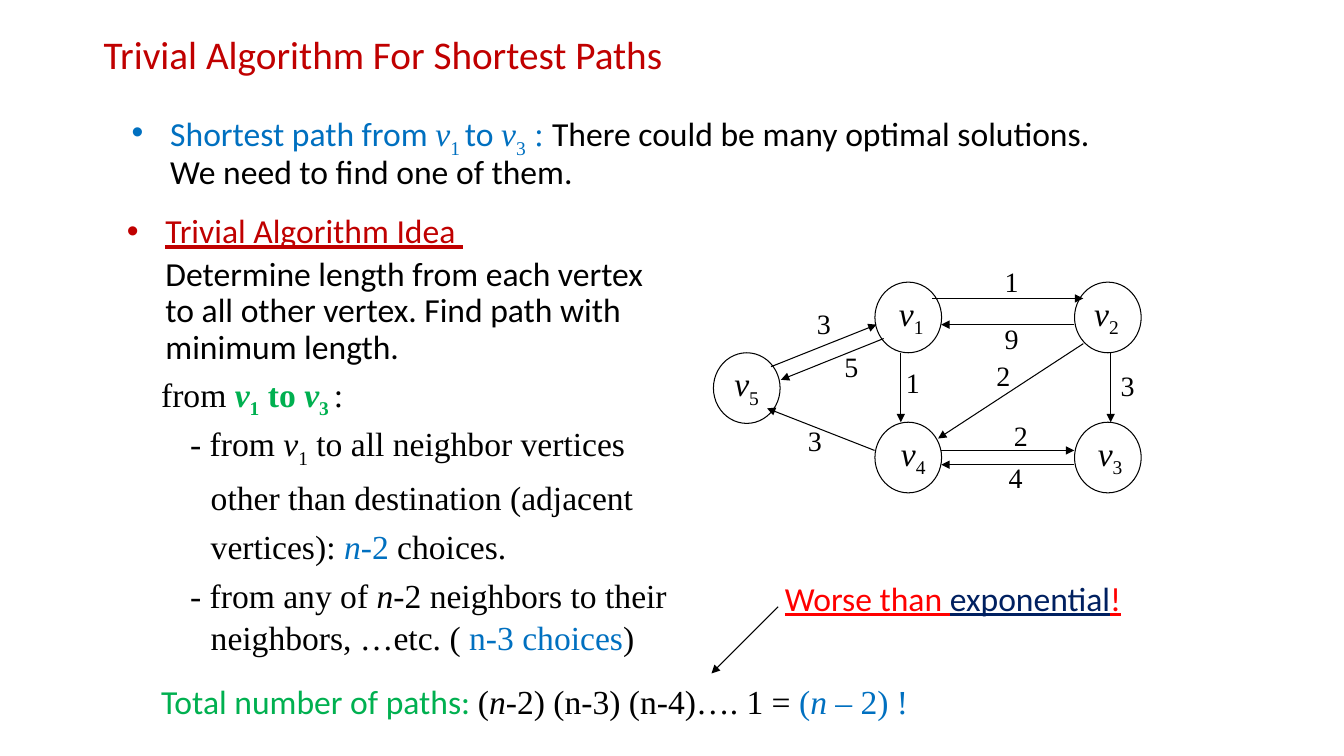
from lxml import etree
from pptx import Presentation
from pptx import util as u
from pptx.dml import color
from pptx.enum import shapes, text
from pptx.oxml import ns

SANS, SERIF = "Calibri", "Times New Roman"
BLACK, RED, BLUE, GREEN = "000000", "C00000", "0070C0", "00B050"


def rgb(value):
    """Turn a hex string into a colour."""
    return color.RGBColor.from_string(value)


def write(paragraph, runs, size=24):
    """Fill a paragraph with (text, font, colour, flags) runs; flags are b, i, u and s for subscript."""
    for words, family, ink, flags in runs:
        run = paragraph.add_run()
        run.text = words
        font = run.font
        font.name, font.size = family, u.Pt(size)
        font.bold, font.italic, font.underline = (flag in flags for flag in "biu")
        font.color.rgb = rgb(ink)
        if "s" in flags:
            run._r.get_or_add_rPr().set("baseline", "-25000")


def layout(paragraph, margin, hang=0, bullet=False, spacing=1.0, before=0):
    """Set the indents, bullet and spacing of a list paragraph."""
    properties = paragraph._p.get_or_add_pPr()
    properties.set("marL", str(u.Cm(margin)))
    properties.set("indent", str(u.Cm(-hang)))
    if bullet:
        etree.SubElement(properties, ns.qn("a:buFont")).set("typeface", "Arial")
        etree.SubElement(properties, ns.qn("a:buChar")).set("char", "•")
    else:
        etree.SubElement(properties, ns.qn("a:buNone"))
    paragraph.alignment = text.PP_ALIGN.LEFT
    paragraph.line_spacing = spacing
    paragraph.space_before = u.Pt(before)


def place(holder, box, anchor=text.MSO_ANCHOR.TOP, side=0.25):
    """Move a placeholder to a box and return its text frame."""
    holder.left, holder.top, holder.width, holder.height = map(u.Cm, box)
    frame = holder.text_frame
    frame.auto_size = text.MSO_AUTO_SIZE.NONE
    frame.word_wrap = True
    frame.vertical_anchor = anchor
    frame.margin_left = frame.margin_right = u.Cm(side)
    return frame


def caption(slide, box, runs, size=24):
    """Add a text box holding one line."""
    frame = slide.shapes.add_textbox(*map(u.Cm, box)).text_frame
    frame.word_wrap = True
    write(frame.paragraphs[0], runs, size)


def arrow(slide, start, tip):
    """Draw a thin black arrow from start to tip."""
    line = slide.shapes.add_connector(
        shapes.MSO_CONNECTOR.STRAIGHT, *map(u.Cm, (*start, *tip)))
    line.line.color.rgb = rgb(BLACK)
    line.line.width = u.Pt(0.75)
    etree.SubElement(line.line._get_or_add_ln(), ns.qn("a:tailEnd")).set("type", "triangle")
    etree.SubElement(line._element.spPr, ns.qn("a:effectLst"))


def add_heading(slide, box):
    """Place the slide title."""
    paragraph = place(slide.shapes.title, box, text.MSO_ANCHOR.MIDDLE).paragraphs[0]
    paragraph.alignment = text.PP_ALIGN.LEFT
    paragraph.line_spacing = 0.9
    write(paragraph, [("Trivial Algorithm For Shortest Paths", SANS, RED, "")], 28)


def add_question(slide, box):
    """Place the statement of the shortest path question."""
    paragraph = place(slide.placeholders[1], box).paragraphs[0]
    layout(paragraph, 0.97, 0.97, True, 0.9)
    write(paragraph, [
        ("Shortest path from ", SANS, BLUE, ""), ("v", SERIF, BLUE, "i"),
        ("1 ", SERIF, BLUE, "s"), ("to ", SANS, BLUE, ""), ("v", SERIF, BLUE, "i"),
        ("3", SERIF, BLUE, "s"), (" : ", SERIF, BLUE, ""),
        ("There could be many optimal solutions. We need to find one of them.", SANS, BLACK, "")])


def add_idea(slide, box):
    """Place the steps of the algorithm and the resulting count."""
    step, hang = 2.11, 0.52
    lines = [
        ((0.97, 0.97, True, 0.9), [("Trivial Algorithm Idea ", SANS, RED, "u")]),
        ((0.97, 0, False, 0.9, 4.8), [("Determine length from each vertex", SANS, BLACK, "")]),
        ((0.97, 0, False, 0.9), [("to all other vertex. Find path with", SANS, BLACK, "")]),
        ((0.97, 0, False, 0.9), [("minimum length.", SANS, BLACK, "")]),
        ((0.86, 0, False, 0.9, 5.5), [
            ("from ", SERIF, BLACK, ""), ("v", SERIF, GREEN, "bi"), ("1", SERIF, GREEN, "bs"),
            (" to ", SERIF, GREEN, "b"), ("v", SERIF, GREEN, "bi"),
            ("3 ", SERIF, GREEN, "bs"), (":", SERIF, BLACK, "")]),
        ((step, hang, False, 1.0, 5.5), [
            ("- from ", SERIF, BLACK, ""), ("v", SERIF, BLACK, "i"), ("1", SERIF, BLACK, "s"),
            (" to all neighbor vertices", SERIF, BLACK, "")]),
        ((step, 0, False, 1.0, 6), [("other than destination (adjacent", SERIF, BLACK, "")]),
        ((step, 0, False, 1.0, 6), [
            ("vertices): ", SERIF, BLACK, ""), ("n", SERIF, BLUE, "i"),
            ("-2", SERIF, BLUE, ""), (" choices.", SERIF, BLACK, "")]),
        ((step, hang, False, 1.0, 6), [
            ("- from any of ", SERIF, BLACK, ""), ("n", SERIF, BLACK, "i"),
            ("-2 neighbors to their", SERIF, BLACK, "")]),
        ((step, 0, False, 1.0, 1.5), [
            ("neighbors, …etc. ( ", SERIF, BLACK, ""), ("n-3 choices", SERIF, BLUE, ""),
            (")", SERIF, BLACK, "")]),
        ((0.86, 0, False, 0.9, 20), [
            ("Total number of paths: ", SANS, GREEN, ""), ("(", SERIF, BLACK, ""),
            ("n", SERIF, BLACK, "i"), ("-2) (n-3) (n-4)…. 1 = ", SERIF, BLACK, ""),
            ("(", SERIF, BLUE, ""), ("n", SERIF, BLUE, "i"), (" – 2) !", SERIF, BLUE, "")]),
    ]
    frame = place(slide.placeholders[2], box, side=0.15)
    for number, (form, runs) in enumerate(lines):
        paragraph = frame.add_paragraph() if number else frame.paragraphs[0]
        layout(paragraph, *form)
        write(paragraph, runs)


def add_graph(slide, left, top):
    """Draw the weighted directed graph from its top left corner."""
    vertices = [
        ("1", 4.07, 0, 0.36), ("2", 9.1, 0, 0.25), ("4", 4.07, 3.53, 0.41),
        ("3", 9.1, 3.53, 0.34), ("5", 0, 1.78, 0.28)]
    edges = [
        ("3", (1.45, 2.13), (4.11, 1.07), (2.36, 0.48)),
        ("5", (4.29, 1.42), (1.7, 2.46), (3.05, 1.57)),
        ("2", (9.32, 1.55), (5.66, 3.94), (6.88, 1.8)),
        ("1", (5.51, 0.41), (9.32, 0.41), (7.09, -0.58)),
        ("9", (9.09, 1.07), (5.74, 1.07), (7.09, 0.86)),
        ("2", (5.74, 4.24), (9.09, 4.24), (7.32, 3.3)),
        ("4", (9.09, 4.6), (5.74, 4.6), (7.19, 4.37)),
        ("1", (4.72, 1.78), (4.72, 3.53), (4.6, 1.98)),
        ("3", (10.01, 1.78), (10.01, 3.53), (10.01, 2.06)),
        ("3", (4.06, 4.24), (1.35, 3.18), (2.13, 3.43))]
    for index, x, y, inset in vertices:
        vertex = slide.shapes.add_shape(
            shapes.MSO_SHAPE.OVAL, *map(u.Cm, (left + x, top + y, 1.68, 1.78)))
        vertex.shadow.inherit = False
        vertex.fill.solid()
        vertex.fill.fore_color.rgb = rgb("FFFFFF")
        vertex.line.color.rgb = rgb(BLACK)
        vertex.line.width = u.Pt(0.75)
        frame = vertex.text_frame
        frame.vertical_anchor = text.MSO_ANCHOR.TOP
        frame.margin_left, frame.margin_bottom = u.Cm(inset), u.Cm(0.13)
        frame.margin_top = frame.margin_right = 0
        frame.paragraphs[0].alignment = text.PP_ALIGN.LEFT
        write(frame.paragraphs[0], [("v", SERIF, BLACK, "i"), (index, SERIF, BLACK, "s")])
    for weight, start, tip, label in edges:
        start, tip, label = ((left + x, top + y) for x, y in (start, tip, label))
        arrow(slide, start, tip)
        caption(slide, (*label, 1.1, 1.2), [(weight, SERIF, BLACK, "")], 20)


def add_verdict(slide, left, top):
    """Place the verdict with its arrow to the count of paths."""
    caption(slide, (left, top, 9.4, 1.27), [
        ("Worse than ", SANS, "FF0000", "u"), ("exponential", SANS, "002060", "u"),
        ("!", SANS, "FF0000", "u")])
    arrow(slide, (left + 0.08, top + 0.86), (left - 1.6, top + 2.54))


def main():
    """Build and save the slide."""
    deck = Presentation()
    deck.slide_width, deck.slide_height = u.Cm(33.87), u.Cm(19.05)
    slide = deck.slides.add_slide(deck.slide_layouts[3])
    add_heading(slide, (2.36, 0.25, 22.86, 2.34))
    add_question(slide, (3.07, 2.74, 25.83, 2.34))
    add_idea(slide, (3.05, 5.28, 21.92, 13.13))
    add_graph(slide, 17.98, 7.11)
    add_verdict(slide, 19.53, 14.43)
    deck.save("out.pptx")


if __name__ == "__main__":
    main()
